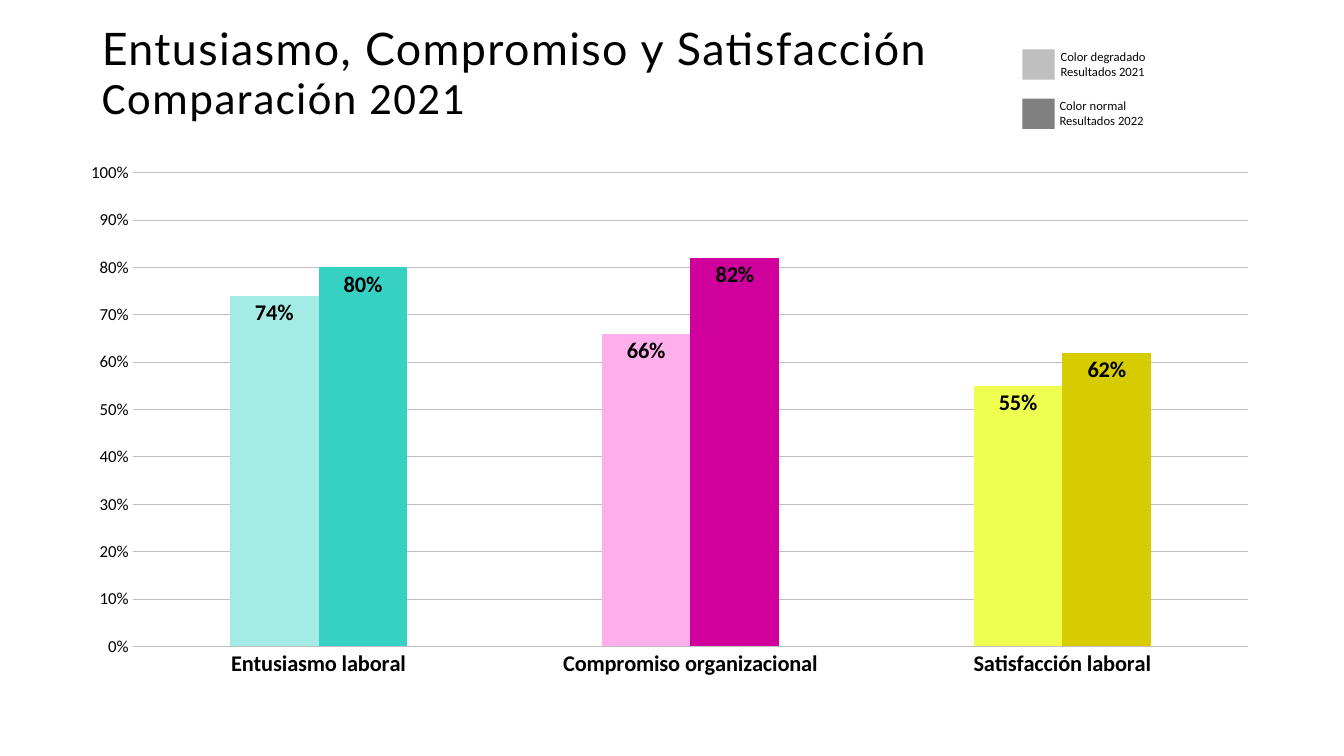
from lxml import etree
from pptx import Presentation
from pptx.chart.data import CategoryChartData
from pptx.dml.color import RGBColor
from pptx.enum.chart import XL_CHART_TYPE, XL_LABEL_POSITION, XL_TICK_MARK
from pptx.enum.shapes import MSO_SHAPE
from pptx.enum.text import MSO_ANCHOR, PP_ALIGN
from pptx.oxml.ns import qn
from pptx.util import Inches, Pt

TITLE_LINES = [("Entusiasmo, Compromiso y Satisfacción", "Lato"),
               ("Comparación 2021", "Calibri")]
LEGEND = [(["Color degradado", "Resultados 2021"], "BFBFBF", 10.42),
          (["Color normal", "Resultados 2022"], "808080", 10.41)]
CATEGORIES = ["Entusiasmo laboral", "Compromiso organizacional", "Satisfacción laboral"]
SERIES = [("Series 1", [0.74, 0.66, 0.55], ["A3EBE4", "FFAFEC", "EEFF4F"]),
          ("Series 2", [0.80, 0.82, 0.62], ["35D2C4", "CF009C", "D6CC00"])]
PLOT_AREA = {"x": 0.05, "y": 0.04, "w": 0.93, "h": 0.88}
GRID = "BFBFBF"


def rgb(color):
    return RGBColor.from_string(color)


def set_font(font, size, color="000000", name="Calibri", bold=False):
    font.size, font.name, font.bold = Pt(size), name, bold
    font.color.rgb = rgb(color)


def add_text(paragraph, text, spacing=None, **style):
    run = paragraph.add_run()
    run.text = text
    set_font(run.font, **style)
    if spacing:
        run.font._element.set("spc", str(spacing * 100))


prs = Presentation()
prs.slide_width, prs.slide_height = Inches(13.33), Inches(7.5)
slide = prs.slides.add_slide(prs.slide_layouts[5])

# Title
title = slide.shapes.title
title.left, title.top, title.width, title.height = map(Inches, (1.01, 0.27, 8.56, 1.06))
frame = title.text_frame
frame.margin_left = frame.margin_top = frame.margin_right = frame.margin_bottom = 0
frame.vertical_anchor, frame.word_wrap = MSO_ANCHOR.TOP, True
heading = frame.paragraphs[0]
heading.alignment, heading.line_spacing = PP_ALIGN.LEFT, 0.9
for i, (line, font_name) in enumerate(TITLE_LINES):
    if i:
        heading.add_line_break()
    add_text(heading, line, spacing=1, size=32, name=font_name)

# Legend: swatch and two-line label per year
for i, (lines, color, label_left) in enumerate(LEGEND):
    top = 0.49 + i * 0.49
    swatch = slide.shapes.add_shape(MSO_SHAPE.RECTANGLE, Inches(10.14), Inches(top),
                                    Inches(0.32), Inches(0.3))
    swatch.shadow.inherit = False
    swatch.fill.solid()
    swatch.fill.fore_color.rgb = rgb(color)
    swatch.line.fill.background()
    label = slide.shapes.add_textbox(Inches(label_left), Inches(top - 0.055),
                                     Inches(2.22), Inches(0.4)).text_frame
    label.word_wrap = True
    for j, line in enumerate(lines):
        paragraph = label.add_paragraph() if j else label.paragraphs[0]
        add_text(paragraph, line, size=9, color="07080B")

# Chart
data = CategoryChartData(number_format="0%")
data.categories = CATEGORIES
for name, values, _ in SERIES:
    data.add_series(name, values)
chart = slide.shapes.add_chart(XL_CHART_TYPE.COLUMN_CLUSTERED, Inches(0.72), Inches(1.5),
                               Inches(11.9), Inches(5.34), data).chart
chart.has_legend = chart.has_title = False
set_font(chart.font, 10)

# Bars, one color per category
plot = chart.plots[0]
plot.gap_width, plot.overlap, plot.vary_by_categories = 219, 0, False
for series, (_, _, colors) in zip(plot.series, SERIES):
    series.invert_if_negative = False
    series.format.fill.solid()
    series.format.fill.fore_color.rgb = rgb(colors[0])
    for i, color in enumerate(colors):
        fill = series.points[i].format.fill
        fill.solid()
        fill.fore_color.rgb = rgb(color)
    labels = series.data_labels
    labels.show_value, labels.position = True, XL_LABEL_POSITION.INSIDE_END
    labels.number_format, labels.number_format_is_linked = "0%", False
    set_font(labels.font, 16, bold=True)

# Axes
category_axis, value_axis = chart.category_axis, chart.value_axis
for axis, size, bold in [(category_axis, 16, True), (value_axis, 12, False)]:
    axis.major_tick_mark = axis.minor_tick_mark = XL_TICK_MARK.NONE
    set_font(axis.tick_labels.font, size, bold=bold)
value_axis.minimum_scale, value_axis.maximum_scale, value_axis.major_unit = 0, 1, 0.1
value_axis.tick_labels.number_format = "0%"
value_axis.tick_labels.number_format_is_linked = False
value_axis.format.line.fill.background()
for line, width in [(category_axis.format.line, 0.75),
                    (value_axis.major_gridlines.format.line, 0.5)]:
    line.color.rgb = rgb(GRID)
    line.width = Pt(width)

# Fixed inner plot area
plot_area = chart._chartSpace.find(".//" + qn("c:plotArea"))
layout = plot_area.find(qn("c:layout"))
if layout is None:
    layout = etree.Element(qn("c:layout"))
    plot_area.insert(0, layout)
manual = etree.SubElement(layout, qn("c:manualLayout"))
settings = [("layoutTarget", "inner"), ("xMode", "edge"), ("yMode", "edge"),
            *PLOT_AREA.items()]
for tag, value in settings:
    etree.SubElement(manual, qn("c:" + tag)).set("val", str(value))

prs.save("out.pptx")
